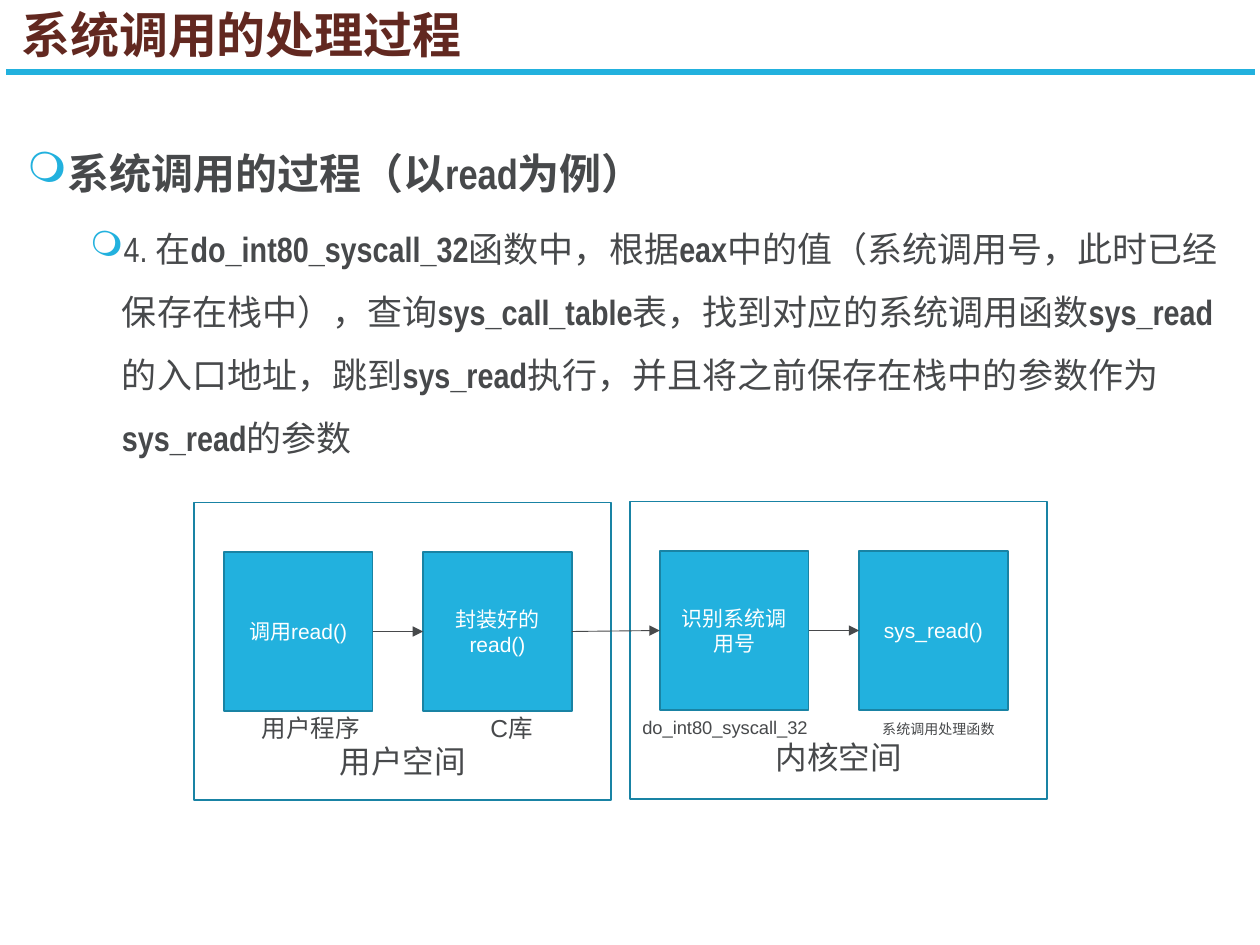
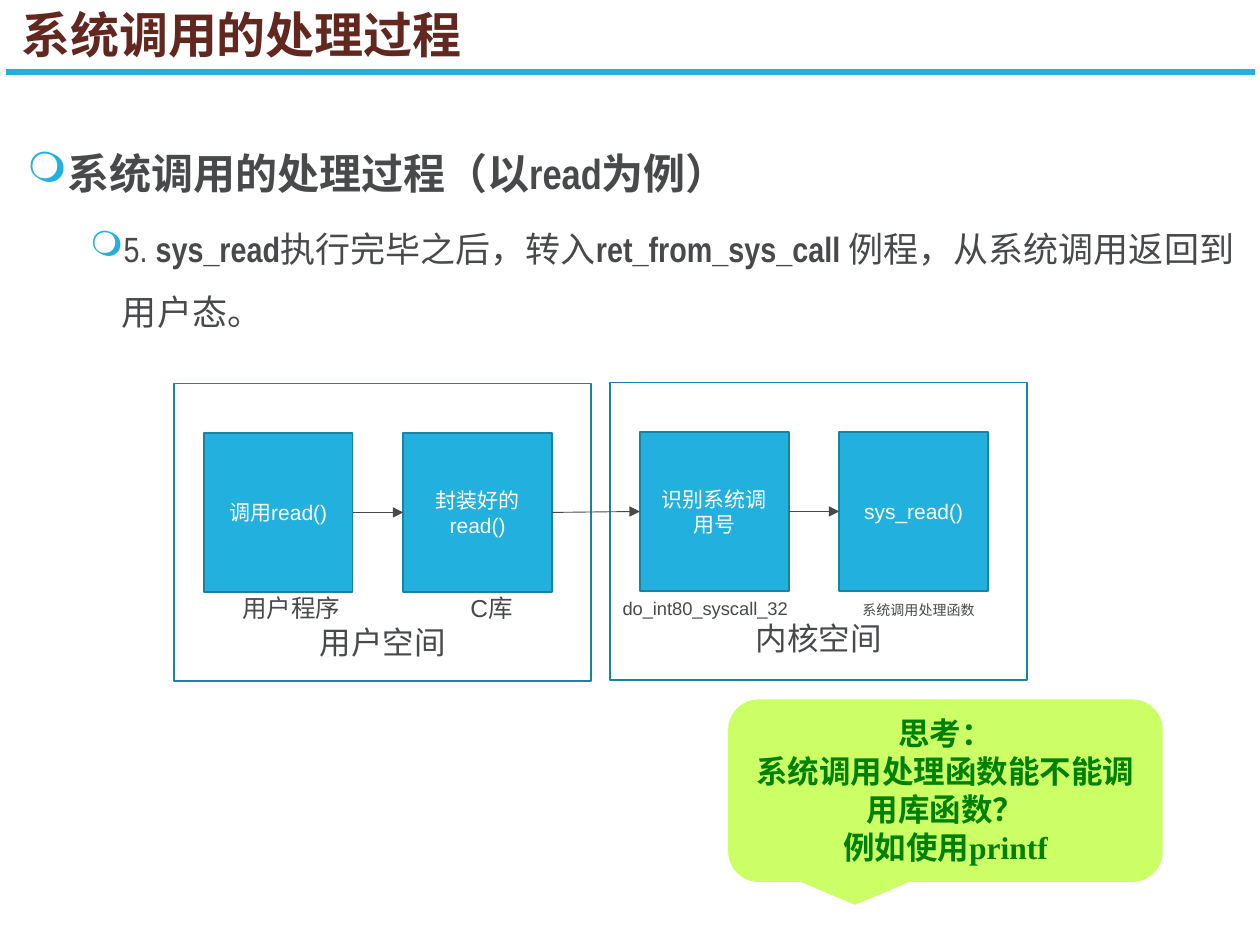
from lxml.etree import SubElement
from pptx import Presentation
from pptx.dml.color import RGBColor
from pptx.enum.shapes import MSO_CONNECTOR, MSO_SHAPE
from pptx.enum.text import MSO_ANCHOR, PP_ALIGN
from pptx.oxml.ns import qn
from pptx.util import Cm, Pt

WHITE = RGBColor(0xFF, 0xFF, 0xFF)
BLUE = RGBColor(0x22, 0xB1, 0xDE)
DARK_BLUE = RGBColor(0x19, 0x83, 0xA4)
BROWN = RGBColor(0x62, 0x28, 0x20)
GREY = RGBColor(0x47, 0x49, 0x4B)
LIME = RGBColor(0xCC, 0xFF, 0x66)
GREEN = RGBColor(0x00, 0x80, 0x00)

TITLE_FORMAT = {"name": "Noto Sans CJK SC", "size": Pt(28), "bold": True, "color": BROWN}
HEADING_FORMAT = {"name": "Arial Narrow", "size": Pt(24), "bold": True, "color": GREY}
STEP_FORMAT = {**HEADING_FORMAT, "size": Pt(20), "bold": False}
BOX_FORMAT = {"name": "Arial", "size": Pt(12), "color": WHITE}
SPACE_FORMAT = {"name": "Arial", "size": Pt(18), "color": GREY}
CALLOUT_FORMAT = {"name": "Times New Roman", "size": Pt(18), "bold": True, "color": GREEN}

TITLE = "系统调用的处理过程"
FRAME_WIDTH, FRAME_HEIGHT = 8.41, 6
BOX_WIDTH, BOX_HEIGHT = 3, 3.2
BOX_PITCH = 4.02
BOX_LEFT, BOX_TOP = 0.6, 1

# Caption runs hold (text, point size); the tab is the centre of the last caption.
SPACES = [
    {
        "name": "用户空间",
        "offset": (0, 0),
        "boxes": ["调用read()", "封装好的read()"],
        "captions": [("\t用户程序", 14), ("\tC库", 14)],
        "tabs": [2.11, 6.15],
        "bottom": 0.41,
    },
    {
        "name": "内核空间",
        "offset": (8.79, -0.02),
        "boxes": ["识别系统调用号", "sys_read()"],
        "captions": [("do_int80_syscall_32", 10.5), ("\t系统调用处理函数", 8)],
        "tabs": [5.97],
        "bottom": 0.46,
    },
]


def set_attributes(target, values):
    for name, value in values.items():
        setattr(target, name, value)


def add_run(paragraph, text, text_format):
    run = paragraph.add_run()
    run.text = text
    for name, value in text_format.items():
        if name == "color":
            run.font.color.rgb = value
        else:
            setattr(run.font, name, value)


def add_text_box(slide, left, top, width, height, anchor):
    box = slide.shapes.add_textbox(Cm(left), Cm(top), Cm(width), Cm(height))
    set_attributes(box.text_frame, {"word_wrap": True, "vertical_anchor": anchor})
    return box.text_frame


def add_filled_shape(slide, kind, left, top, width, height, fill, outline=None):
    shape = slide.shapes.add_shape(kind, Cm(left), Cm(top), Cm(width), Cm(height))
    shape.shadow.inherit = False
    shape.fill.solid()
    shape.fill.fore_color.rgb = fill
    if outline is None:
        shape.line.fill.background()
    else:
        shape.line.color.rgb = outline
        shape.line.width = Pt(1)
    shape.text_frame.word_wrap = True
    return shape


def add_line(slide, start, end, color, width):
    line = slide.shapes.add_connector(
        MSO_CONNECTOR.STRAIGHT, *(Cm(value) for value in (*start, *end))
    )
    line.line.color.rgb = color
    line.line.width = Pt(width)
    SubElement(line._element.spPr, qn("a:effectLst"))
    return line


def add_arrow(slide, source, target):
    """Join the right side of source to the left side of target."""
    arrow = add_line(slide, (0, 0), (1, 1), GREY, 0.5)
    arrow.begin_connect(source, 3)
    arrow.end_connect(target, 1)
    outline = arrow._element.spPr.find(qn("a:ln"))
    SubElement(outline, qn("a:tailEnd"), type="triangle")


def add_title(slide):
    add_line(slide, (0.13, 1.45), (25.3, 1.45), BLUE, 3)
    frame = add_text_box(slide, 0.18, 0.05, 23.34, 1.4, MSO_ANCHOR.MIDDLE)
    paragraph = frame.paragraphs[0]
    paragraph.line_spacing = 0.9
    add_run(paragraph, TITLE, TITLE_FORMAT)


def format_bullet(paragraph, level, margin, space_before):
    set_attributes(
        paragraph,
        {"level": level, "line_spacing": 1.5, "space_before": Pt(space_before)},
    )
    properties = paragraph._p.get_or_add_pPr()
    properties.set("marL", str(Cm(margin)))
    properties.set("indent", str(-Cm(0.64)))
    bullet_color = SubElement(properties, qn("a:buClr"))
    SubElement(bullet_color, qn("a:srgbClr"), val=str(BLUE))
    SubElement(properties, qn("a:buChar"), char="❍")


def add_body(slide, heading, step):
    """Write the heading and a step whose every second part is bold."""
    frame = add_text_box(slide, 0.3, 2.34, 25.1, 15.6, MSO_ANCHOR.TOP)
    heading_paragraph = frame.paragraphs[0]
    format_bullet(heading_paragraph, 0, 0.64, 10)
    add_run(heading_paragraph, heading, HEADING_FORMAT)
    step_paragraph = frame.add_paragraph()
    format_bullet(step_paragraph, 1, 1.91, 5)
    for index, part in enumerate(step):
        add_run(step_paragraph, part, {**STEP_FORMAT, "bold": index % 2 == 1})


def add_space_frame(slide, space, left, top):
    """Draw the frame of one address space with its captions and name."""
    shape = add_filled_shape(
        slide, MSO_SHAPE.RECTANGLE, left, top, FRAME_WIDTH, FRAME_HEIGHT, WHITE, DARK_BLUE
    )
    frame = shape.text_frame
    set_attributes(
        frame,
        {"vertical_anchor": MSO_ANCHOR.BOTTOM, "margin_bottom": Cm(space["bottom"])},
    )
    captions = frame.paragraphs[0]
    captions.alignment = PP_ALIGN.LEFT
    tab_list = SubElement(captions._p.get_or_add_pPr(), qn("a:tabLst"))
    for position in space["tabs"]:
        SubElement(tab_list, qn("a:tab"), pos=str(Cm(position)), algn="ctr")
    for text, size in space["captions"]:
        add_run(captions, text, {**SPACE_FORMAT, "size": Pt(size)})
    name = frame.add_paragraph()
    name.alignment = PP_ALIGN.CENTER
    add_run(name, space["name"], SPACE_FORMAT)


def add_box(slide, text, left, top):
    box = add_filled_shape(
        slide, MSO_SHAPE.RECTANGLE, left, top, BOX_WIDTH, BOX_HEIGHT, BLUE, DARK_BLUE
    )
    box.text_frame.vertical_anchor = MSO_ANCHOR.MIDDLE
    paragraph = box.text_frame.paragraphs[0]
    paragraph.alignment = PP_ALIGN.CENTER
    add_run(paragraph, text, BOX_FORMAT)
    return box


def add_call_flow(slide, left, top):
    boxes = []
    for space in SPACES:
        frame_left = left + space["offset"][0]
        frame_top = top + space["offset"][1]
        add_space_frame(slide, space, frame_left, frame_top)
        for index, text in enumerate(space["boxes"]):
            box_left = frame_left + BOX_LEFT + index * BOX_PITCH
            boxes.append(add_box(slide, text, box_left, frame_top + BOX_TOP))
    for source, target in zip(boxes, boxes[1:]):
        add_arrow(slide, source, target)


def add_callout(slide, lines):
    callout = add_filled_shape(
        slide, MSO_SHAPE.ROUNDED_RECTANGULAR_CALLOUT, 14.68, 14.1, 8.76, 3.68, LIME
    )
    frame = callout.text_frame
    frame.vertical_anchor = MSO_ANCHOR.TOP
    for index, line in enumerate(lines):
        paragraph = frame.add_paragraph() if index else frame.paragraphs[0]
        paragraph.alignment = PP_ALIGN.CENTER
        add_run(paragraph, line, CALLOUT_FORMAT)


def add_step_slide(presentation, heading, step, flow_left, flow_top):
    slide = presentation.slides.add_slide(presentation.slide_layouts[6])
    add_title(slide)
    add_body(slide, heading, step)
    add_call_flow(slide, flow_left, flow_top)
    return slide


def main():
    presentation = Presentation()
    presentation.slide_width = Cm(25.4)
    presentation.slide_height = Cm(19.05)

    add_step_slide(
        presentation,
        "系统调用的过程（以read为例）",
        [
            "4. 在", "do_int80_syscall_32", "函数中，根据", "eax",
            "中的值（系统调用号，此时已经保存在栈中），查询", "sys_call_table",
            "表，找到对应的系统调用函数", "sys_read", "的入口地址，跳到", "sys_read",
            "执行，并且将之前保存在栈中的参数作为", "sys_read", "的参数",
        ],
        3.91,
        10.13,
    )
    return_slide = add_step_slide(
        presentation,
        "系统调用的处理过程（以read为例）",
        [
            "5. ", "sys_read", "执行完毕之后，转入", "ret_from_sys_call ",
            "例程，从系统调用返回到用户态。",
        ],
        3.51,
        7.73,
    )
    add_callout(
        return_slide,
        ["思考：", "系统调用处理函数能不能调用库函数？", "例如使用printf"],
    )
    presentation.save("out.pptx")


if __name__ == "__main__":
    main()
